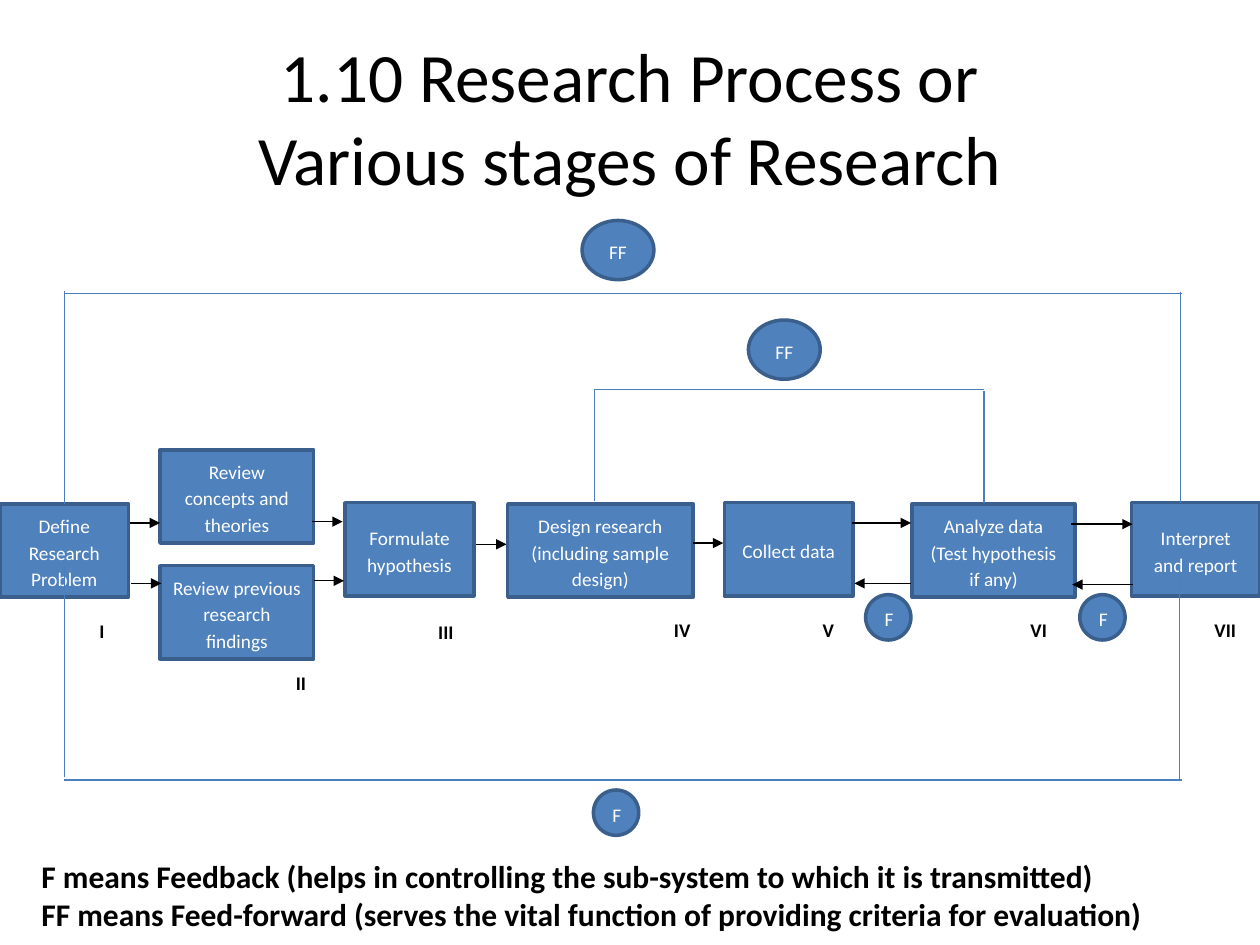
from dataclasses import dataclass

import pptx
import pptx.util
from lxml import etree
from pptx.dml.color import RGBColor
from pptx.enum.shapes import MSO_CONNECTOR, MSO_SHAPE
from pptx.enum.text import MSO_ANCHOR, MSO_AUTO_SIZE, PP_ALIGN
from pptx.oxml.ns import qn
from pptx.util import Inches


@dataclass(frozen=True)
class Theme:
    font: str = "Calibri"
    fill: str = "4F81BD"
    edge: str = "3A5F8C"
    loop: str = "4B7EBC"
    ink: str = "000000"
    light: str = "FFFFFF"
    title: float = 39.6
    key: float = 18
    small: float = 11
    thick: float = 2
    thin: float = 0.75


THEME = Theme()

# Stage boxes: text, left, top, width
STAGES = [
    ("Define Research Problem", 0, 4, 1.02),
    ("Review concepts and theories", 1.27, 3.57, 1.22),
    ("Review previous research findings", 1.27, 4.49, 1.22),
    ("Formulate hypothesis", 2.74, 3.99, 1.02),
    ("Design research (including sample design)", 4.03, 4, 1.47),
    ("Collect data", 5.75, 3.99, 1.02),
    ("Analyze data (Test hypothesis if any)", 7.24, 4, 1.29),
    ("Interpret and report", 8.98, 3.99, 1.02),
]
STAGE_H = 0.74

# Arrows run level: start x, end x, y
ARROWS = [
    (1.03, 1.27, 4.15), (1.04, 1.28, 4.63),
    (2.48, 2.72, 4.14), (2.49, 2.73, 4.61),
    (3.78, 4.02, 4.32), (5.5, 5.74, 4.31),
    (6.76, 7.23, 4.15), (7.23, 6.78, 4.63),
    (8.5, 8.99, 4.16), (8.99, 8.51, 4.64),
]

# Loop lines: x1, y1, x2, y2
START = (0.51, 4, 0.51, 2.31)
LOOPS = [
    (0.51, 2.33, 9.38, 2.33), (9.37, 3.99, 9.37, 2.32),
    (0.51, 6.17, 0.51, 4.5), (9.36, 6.19, 9.36, 4.51),
    (0.51, 6.19, 9.38, 6.19),
    (4.72, 3.98, 4.72, 3.09), (4.72, 3.09, 7.81, 3.09),
    (7.81, 3.99, 7.81, 3.1),
]

# Signal marks: text, left, top
MARKS = [
    ("F", 6.87, 4.72), ("F", 8.57, 4.72), ("F", 4.71, 6.27),
    ("FF", 4.62, 1.75), ("FF", 5.94, 2.54),
]
MARK_SIZE = {"F": (0.36, 0.36), "FF": (0.57, 0.47)}

# Stage numbers: text, left, top, width
NUMBERS = [
    ("I", 0.69, 4.84, 0.25), ("II", 2.25, 5.25, 0.43),
    ("III", 3.38, 4.85, 0.4), ("IV", 5.25, 4.83, 0.41),
    ("V", 6.43, 4.83, 0.25), ("VI", 8.08, 4.83, 0.4),
    ("VII", 9.54, 4.83, 0.46),
]

KEY = ("F means Feedback (helps in controlling the sub-system to which it is transmitted)\n"
       "FF means Feed-forward (serves the vital function of providing criteria for evaluation)")


def color(code):
    return RGBColor.from_string(code)


def write(frame, text, size, ink, bold=False, align=PP_ALIGN.LEFT, loose=False):
    """Fill a text frame; loose adds line and paragraph spacing."""
    frame.text = text
    frame.word_wrap = True
    for para in frame.paragraphs:
        para.alignment = align
        if loose:
            para.line_spacing = 1.15
            para.space_after = pptx.util.Pt(10)
        for run in para.runs:
            run.font.name = THEME.font
            run.font.size = pptx.util.Pt(size)
            run.font.bold = bold
            run.font.color.rgb = color(ink)


def add_title(slide):
    title = slide.shapes.title
    title.left, title.top = Inches(0.5), Inches(0.3)
    title.width, title.height = Inches(9), Inches(1.25)
    write(title.text_frame, "1.10 Research Process or\vVarious stages of Research",
          THEME.title, THEME.ink, align=PP_ALIGN.CENTER)
    title.text_frame.auto_size = MSO_AUTO_SIZE.NONE
    title.text_frame.vertical_anchor = MSO_ANCHOR.MIDDLE


def add_node(slide, kind, text, *place):
    node = slide.shapes.add_shape(kind, *map(Inches, place))
    node.shadow.inherit = False
    node.fill.solid()
    node.fill.fore_color.rgb = color(THEME.fill)
    node.line.color.rgb = color(THEME.edge)
    node.line.width = pptx.util.Pt(THEME.thick)
    write(node.text_frame, text, THEME.small, THEME.light,
          align=PP_ALIGN.CENTER, loose=True)
    node.text_frame.vertical_anchor = MSO_ANCHOR.MIDDLE
    return node


def add_line(slide, ends, ink, arrow=False):
    line = slide.shapes.add_connector(MSO_CONNECTOR.STRAIGHT, *map(Inches, ends))
    line.line.color.rgb = color(ink)
    line.line.width = pptx.util.Pt(THEME.thin)
    if arrow:
        tip = etree.SubElement(line.line._get_or_add_ln(), qn("a:tailEnd"))
        tip.set("type", "triangle")
    etree.SubElement(line._element.spPr, qn("a:effectLst"))
    return line


def add_label(slide, text, size, *place, loose=False):
    label = slide.shapes.add_textbox(*map(Inches, place))
    write(label.text_frame, text, size, THEME.ink, bold=True, loose=loose)


def main():
    deck = pptx.Presentation()
    deck.slide_width, deck.slide_height = Inches(10), Inches(7.5)
    slide = deck.slides.add_slide(deck.slide_layouts[5])
    add_title(slide)

    nodes = [add_node(slide, MSO_SHAPE.RECTANGLE, *stage, STAGE_H)
             for stage in STAGES]
    for start, end, y in ARROWS:
        add_line(slide, (start, y, end, y), THEME.ink, arrow=True)
    add_line(slide, START, THEME.loop).begin_connect(nodes[0], 0)
    for ends in LOOPS:
        add_line(slide, ends, THEME.loop)
    for text, left, top in MARKS:
        add_node(slide, MSO_SHAPE.OVAL, text, left, top, *MARK_SIZE[text])
    for text, *place in NUMBERS:
        add_label(slide, text, THEME.small, *place, 0.39, loose=True)
    add_label(slide, KEY, THEME.key, 0.23, 6.75, 9.69, 0.71)

    deck.save("out.pptx")


if __name__ == "__main__":
    main()
